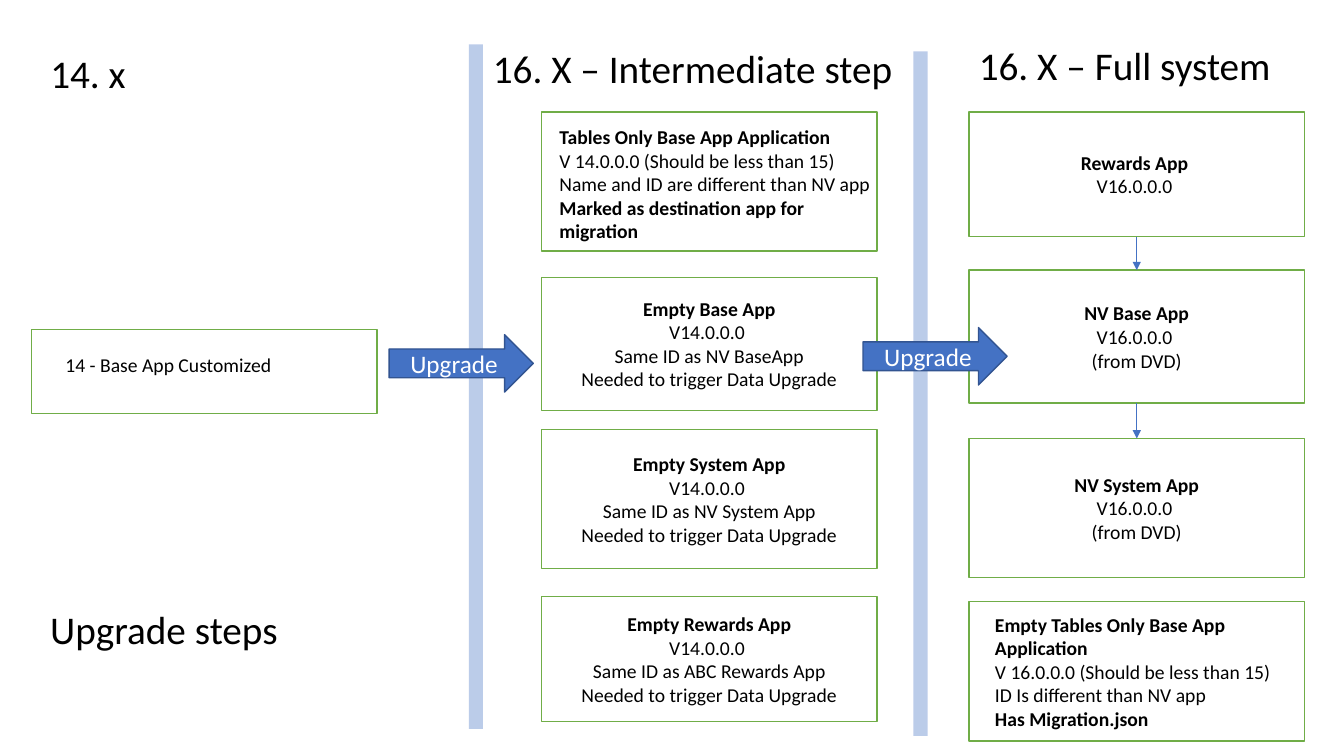
from dataclasses import dataclass
from typing import Any

from lxml import etree
from pptx import Presentation
from pptx.dml.color import RGBColor
from pptx.enum.shapes import MSO_CONNECTOR as CONN, MSO_SHAPE as SHAPE
from pptx.enum.text import MSO_ANCHOR as ANCHOR, PP_ALIGN as ALIGN
from pptx.oxml.ns import qn
from pptx.util import Inches, Pt


@dataclass(frozen=True)
class Theme:
    font: str = "Calibri"
    black: RGBColor = RGBColor(0, 0, 0)
    white: RGBColor = RGBColor(255, 255, 255)
    green: RGBColor = RGBColor(0x70, 0xAD, 0x47)
    blue: RGBColor = RGBColor(0x44, 0x72, 0xC4)
    navy: RGBColor = RGBColor(0x32, 0x54, 0x91)
    bar_alpha: int = 36000
    heading: Pt = Pt(28)
    arrow: Pt = Pt(18)
    body: Pt = Pt(14)
    outline: Pt = Pt(1)
    link: Pt = Pt(0.5)


@dataclass(frozen=True)
class Rect:
    left: float
    top: float
    width: float
    height: float

    def emu(self) -> tuple:
        return tuple(Inches(n) for n in (self.left, self.top, self.width, self.height))


@dataclass(frozen=True)
class Line:
    text: str
    bold: bool = False


@dataclass(frozen=True)
class AppBox:
    rect: Rect
    lines: tuple


@dataclass(frozen=True)
class NoteBox:
    rect: Rect
    text_rect: Rect
    lines: tuple


@dataclass(frozen=True)
class Heading:
    text: str
    rect: Rect
    fmt: dict


T = Theme()
BOX_W = 3.33
MID_X, FULL_X = 5.37, 9.61
BAR_W, BAR_H = 0.14, 6.79
ARROW_W, ARROW_H = 1.43, 0.57
CENTRED = {"alignment": ALIGN.CENTER}


def app_lines(name: str, *details: str) -> tuple:
    return (Line(name, True), *(Line(d) for d in details))


def empty_app(top: float, height: float, name: str, same_as: str) -> AppBox:
    return AppBox(Rect(MID_X, top, BOX_W, height),
                  app_lines(f"Empty {name}", "V14.0.0.0 ", f"Same ID as {same_as}",
                            "Needed to trigger Data Upgrade"))


def full_app(top: float, height: float, name: str, *details: str) -> AppBox:
    return AppBox(Rect(FULL_X, top, BOX_W, height),
                  app_lines(name, "V16.0.0.0 ", *details))


HEADINGS = (
    Heading("Upgrade steps", Rect(0.4, 5.54, 11.5, 1.45), {"line_spacing": 0.9}),
    Heading("14. x", Rect(0.4, 0.44, 2.21, 0.57), {}),
    Heading("16. X – Intermediate step", Rect(4.79, 0.39, 4.85, 0.57), {}),
    Heading("16. X – Full system", Rect(FULL_X, 0.36, 4.85, 0.57), {}),
)

NOTES = (
    NoteBox(Rect(0.31, 3.27, 3.43, 0.83), Rect(0.55, 3.45, 5.05, 0.34),
            (Line("14 - Base App Customized"),)),
    NoteBox(Rect(MID_X, 1.11, BOX_W, 1.38), Rect(5.45, 1.19, 3.33, 1.28),
            (Line("Tables Only Base App Application", True),
             Line("V 14.0.0.0 (Should be less than 15)"),
             Line("Name and ID are different than NV app"),
             Line("Marked as destination app for migration", True))),
    NoteBox(Rect(FULL_X, 5.97, BOX_W, 1.38), Rect(9.77, 6.03, 3.16, 1.28),
            (Line("Empty Tables Only Base App Application", True),
             Line("V 16.0.0.0 (Should be less than 15)"),
             Line("ID Is different than NV app"),
             Line("Has Migration.json", True))),
)

MID_APPS = (
    empty_app(2.75, 1.32, "Base App", "NV BaseApp"),
    empty_app(4.26, 1.38, "System App", "NV System App"),
    empty_app(5.92, 1.24, "Rewards App", "ABC Rewards App"),
)

FULL_APPS = (
    full_app(1.11, 1.24, "Rewards App "),
    full_app(2.68, 1.32, "NV Base App", "(from DVD)"),
    full_app(4.35, 1.38, "NV System App", "(from DVD)"),
)

BARS = (Rect(4.65, 0.44, BAR_W, BAR_H), Rect(9.06, 0.51, BAR_W, BAR_H))
ARROWS = (Rect(3.86, 3.32, ARROW_W, ARROW_H), Rect(8.56, 3.25, ARROW_W, ARROW_H))


def apply(target: Any, fmt: dict) -> None:
    for name, value in fmt.items():
        setattr(target, name, value)


def write(sp: Any, lines: tuple, size: Pt, color: RGBColor, para: dict,
          anchor: ANCHOR = ANCHOR.MIDDLE) -> None:
    tf = sp.text_frame
    apply(tf, {"word_wrap": True, "vertical_anchor": anchor})
    for i, line in enumerate(lines):
        p = tf.add_paragraph() if i else tf.paragraphs[0]
        apply(p, para)
        r = p.add_run()
        r.text = line.text
        apply(r.font, {"name": T.font, "size": size, "bold": line.bold})
        r.font.color.rgb = color


def add_box(shapes: Any, kind: SHAPE, rect: Rect, fill: RGBColor,
            line: RGBColor | None = None) -> Any:
    sp = shapes.add_shape(kind, *rect.emu())
    sp.shadow.inherit = False
    sp.fill.solid()
    sp.fill.fore_color.rgb = fill
    if line is None:
        sp.line.fill.background()
    else:
        sp.line.color.rgb = line
        sp.line.width = T.outline
    return sp


def add_app(shapes: Any, app: AppBox) -> None:
    sp = add_box(shapes, SHAPE.RECTANGLE, app.rect, T.white, T.green)
    write(sp, app.lines, T.body, T.black, CENTRED)


def add_note(shapes: Any, note: NoteBox) -> None:
    group = shapes.add_group_shape().shapes
    add_box(group, SHAPE.RECTANGLE, note.rect, T.white, T.green)
    sp = group.add_textbox(*note.text_rect.emu())
    write(sp, note.lines, T.body, T.black, {}, ANCHOR.TOP)


def add_bar(shapes: Any, rect: Rect) -> None:
    sp = add_box(shapes, SHAPE.RECTANGLE, rect, T.blue)
    color = sp.fill._xPr.find(qn("a:solidFill"))[0]
    etree.SubElement(color, qn("a:alpha"), val=str(T.bar_alpha))


def add_link(shapes: Any, upper: Rect, lower: Rect) -> None:
    x = Inches(upper.left + upper.width / 2)
    cn = shapes.add_connector(CONN.STRAIGHT, x, Inches(upper.top + upper.height),
                              x, Inches(lower.top))
    cn.line.color.rgb = T.blue
    cn.line.width = T.link
    etree.SubElement(cn.line._get_or_add_ln(), qn("a:tailEnd"), type="triangle")
    etree.SubElement(cn._element.spPr, qn("a:effectLst"))


def add_arrow(shapes: Any, rect: Rect) -> None:
    sp = add_box(shapes, SHAPE.RIGHT_ARROW, rect, T.blue, T.navy)
    write(sp, (Line("Upgrade"),), T.arrow, T.white, CENTRED)


prs = Presentation()
prs.slide_width, prs.slide_height = Inches(13.33), Inches(7.5)
shapes = prs.slides.add_slide(prs.slide_layouts[6]).shapes

for h in HEADINGS:
    write(shapes.add_textbox(*h.rect.emu()), (Line(h.text),), T.heading, T.black, h.fmt)
for note in NOTES:
    add_note(shapes, note)
for app in MID_APPS + FULL_APPS:
    add_app(shapes, app)
for bar in BARS:
    add_bar(shapes, bar)
for upper, lower in zip(FULL_APPS, FULL_APPS[1:]):
    add_link(shapes, upper.rect, lower.rect)
for arrow in ARROWS:
    add_arrow(shapes, arrow)

prs.save("out.pptx")
